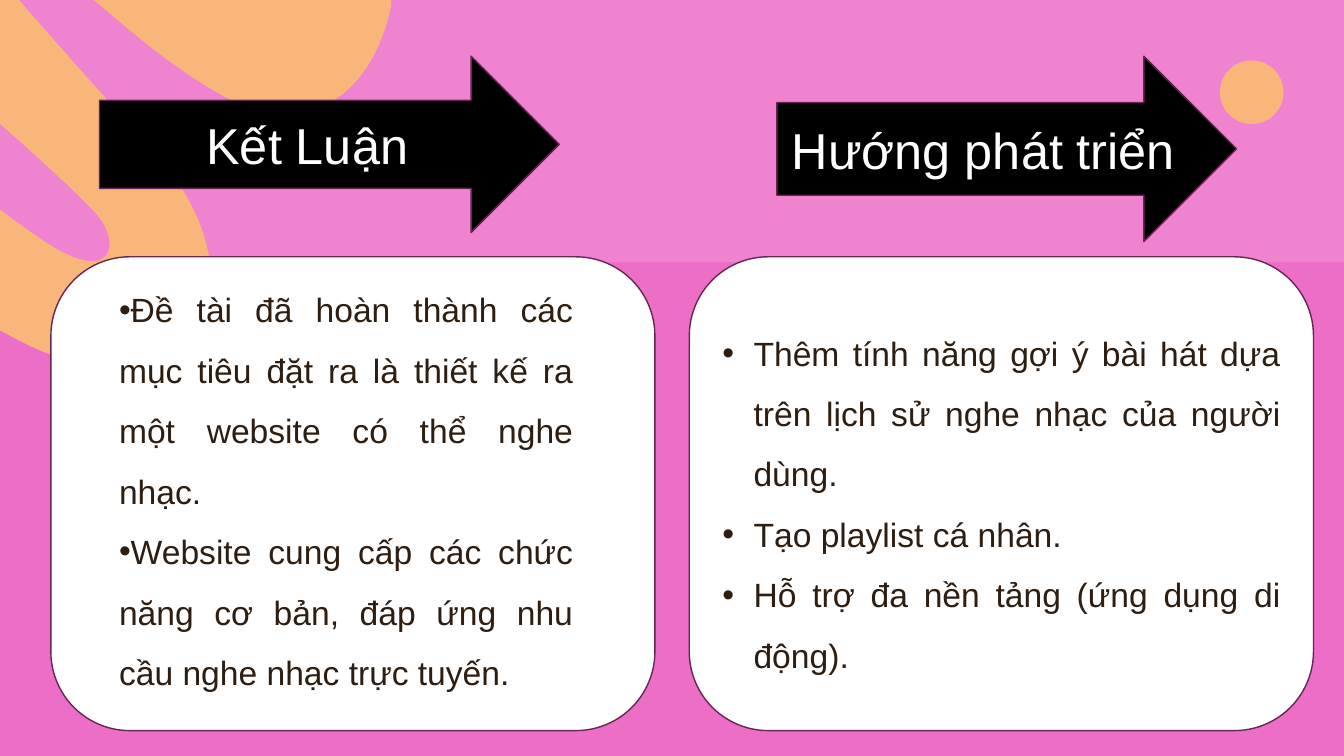
from lxml.etree import SubElement
from pptx import Presentation
from pptx.dml.color import RGBColor
from pptx.enum.shapes import MSO_SHAPE as Preset
from pptx.enum.text import MSO_ANCHOR as Anchor, PP_ALIGN as Align
from pptx.oxml.ns import qn
from pptx.util import Inches, Pt

WIDTH, HEIGHT = Inches(13.33), Inches(7.5)
FONT = "Arial"
PINK, PALE_PINK, ORANGE = "E955BE", "F299D8", "F9B67A"
BLACK, WHITE, PLUM, BROWN = "000000", "FFFFFF", "662553", "2E1E11"

# Outlines in inches: two numbers make a line, six make a Bézier curve
BLOB_HEIGHT = 3.7
UPPER_BLOB = [
    (0.93, 0), (3.88, 0), (3.88, 0.05),
    (3.82, 0.37, 3.67, 0.69, 3.45, 0.89),
    (3.2, 1.12, 2.88, 1.17, 2.63, 1.11),
    (2.42, 1.07, 2.24, 0.97, 2.07, 0.87),
    (1.76, 0.68, 1.46, 0.45, 1.18, 0.21),
]
LOWER_BLOB = [
    (0, 0), (0.19, 0), (0.23, 0.05),
    (0.67, 0.55, 1.08, 1.02, 1.3, 1.24),
    (1.63, 1.6, 2.04, 2.07, 2.09, 2.68),
    (2.11, 2.93, 2.09, 3.44, 1.67, 3.63),
    (1.29, 3.79, 0.79, 3.66, 0.27, 3.42),
    (0, 3.28), (0, 2.08), (0.03, 2.1),
    (0.24, 2.26, 0.41, 2.38, 0.53, 2.45),
    (1.13, 2.81, 1.19, 2.4, 0.97, 2.14),
    (0.86, 2.01, 0.54, 1.71, 0.16, 1.37),
    (0, 1.23),
]

CONCLUSIONS = [
    "Đề tài đã hoàn thành các mục tiêu đặt ra là thiết kế ra một website có thể nghe nhạc.",
    "Website cung cấp các chức năng cơ bản, đáp ứng nhu cầu nghe nhạc trực tuyến.",
]
PLANS = [
    "Thêm tính năng gợi ý bài hát dựa trên lịch sử nghe nhạc của người dùng.",
    "Tạo playlist cá nhân.",
    "Hỗ trợ đa nền tảng (ứng dụng di động).",
]


def color(hex_text):
    return RGBColor.from_string(hex_text)


def place(left, top, width, height):
    """Turn percentages of the slide into lengths."""
    return [int(share * side / 100) for share, side in
            ((left, WIDTH), (top, HEIGHT), (width, WIDTH), (height, HEIGHT))]


def set_fill(fill, hex_text, opacity=100):
    fill.solid()
    fill.fore_color.rgb = color(hex_text)
    if opacity < 100:
        ink = fill._xPr.find(qn("a:solidFill"))[0]
        SubElement(ink, qn("a:alpha"), val=str(opacity * 1000))


def paint(shape, fill, line=None, opacity=100):
    shape.shadow.inherit = False
    set_fill(shape.fill, fill, opacity)
    if line:
        shape.line.color.rgb = color(line)
        shape.line.width = Pt(1)
    else:
        shape.line.fill.background()


def add_preset(page, preset, area, fill, line=None, opacity=100):
    shape = page.shapes.add_shape(preset, *place(*area))
    paint(shape, fill, line, opacity)
    return shape


def bend(segment, controls):
    """Turn a straight segment into a Bézier curve."""
    segment.tag = qn("a:cubicBezTo")
    for index in (0, 1):
        x, y = controls[2 * index:2 * index + 2]
        point = SubElement(segment, qn("a:pt"), x=str(Inches(x)), y=str(Inches(y)))
        segment.insert(index, point)


def add_blobs(page, outlines, fill):
    builder = None
    for outline in outlines:
        ends = [(Inches(step[-2]), Inches(step[-1])) for step in outline]
        if builder:
            builder.move_to(*ends[0])
        else:
            builder = page.shapes.build_freeform(*ends[0])
        builder.add_line_segments(ends[1:], close=True)
    blob = builder.convert_to_shape()
    paint(blob, fill)

    # The lowest curve bulges below its end points
    blob.height = Inches(BLOB_HEIGHT)
    figure = next(blob._element.iter(qn("a:path")))
    figure.set("h", str(Inches(BLOB_HEIGHT)))
    steps = [step for outline in outlines for step in outline[1:]]
    for segment, step in zip(figure.findall(qn("a:lnTo")), steps):
        if len(step) == 6:
            bend(segment, step[:4])


def add_span(para, text, size, ink):
    span = para.add_run()
    span.text = text
    span.font.name = FONT
    span.font.size = Pt(size)
    span.font.color.rgb = color(ink)


def set_bullet(para, indent):
    props = para._p.get_or_add_pPr()
    props.set("marL", str(Inches(indent)))
    props.set("indent", str(-Inches(indent)))
    SubElement(props, qn("a:buFont"), typeface=FONT)
    SubElement(props, qn("a:buChar"), char="•")


def add_heading(page, area, text):
    arrow = add_preset(page, Preset.RIGHT_ARROW, area, BLACK, PLUM)
    frame = arrow.text_frame
    frame.word_wrap = True
    frame.vertical_anchor = Anchor.MIDDLE
    para = frame.paragraphs[0]
    para.alignment = Align.CENTER
    add_span(para, text, 36, WHITE)


def add_card(page, area):
    return add_preset(page, Preset.ROUNDED_RECTANGLE, area, WHITE, PLUM)


def fill_list(box, items, indent):
    frame = box.text_frame
    frame.word_wrap = True
    frame.vertical_anchor = Anchor.MIDDLE
    for index, item in enumerate(items):
        para = frame.add_paragraph() if index else frame.paragraphs[0]
        para.alignment = Align.JUSTIFY
        para.line_spacing = 1.5
        set_bullet(para, indent)
        add_span(para, item, 24, BROWN)


def main():
    deck = Presentation()
    deck.slide_width, deck.slide_height = WIDTH, HEIGHT
    page = deck.slides.add_slide(deck.slide_layouts[6])

    # Backdrop
    set_fill(page.background.fill, PINK, 85)
    add_preset(page, Preset.RECTANGLE, (0, 0, 100, 34.67), PALE_PINK, opacity=50)
    add_preset(page, Preset.OVAL, (90.77, 8, 4.73, 8.4), ORANGE)
    add_blobs(page, [UPPER_BLOB, LOWER_BLOB], ORANGE)

    # Headings
    add_heading(page, (7.4, 7.43, 34.21, 23.33), "Kết Luận")
    add_heading(page, (57.8, 7.43, 34.21, 24.53), "Hướng phát triển")

    # Cards and their lists
    add_card(page, (3.79, 33.97, 44.94, 62.67))
    plan_card = add_card(page, (51.29, 33.97, 46.44, 62.67))
    fill_list(plan_card, PLANS, 0.31)
    conclusion_box = page.shapes.add_textbox(*place(8.12, 28.4, 35.26, 64.93))
    conclusion_box.text_frame.margin_top = Inches(0.46)
    fill_list(conclusion_box, CONCLUSIONS, 0)

    deck.save("out.pptx")


if __name__ == "__main__":
    main()
